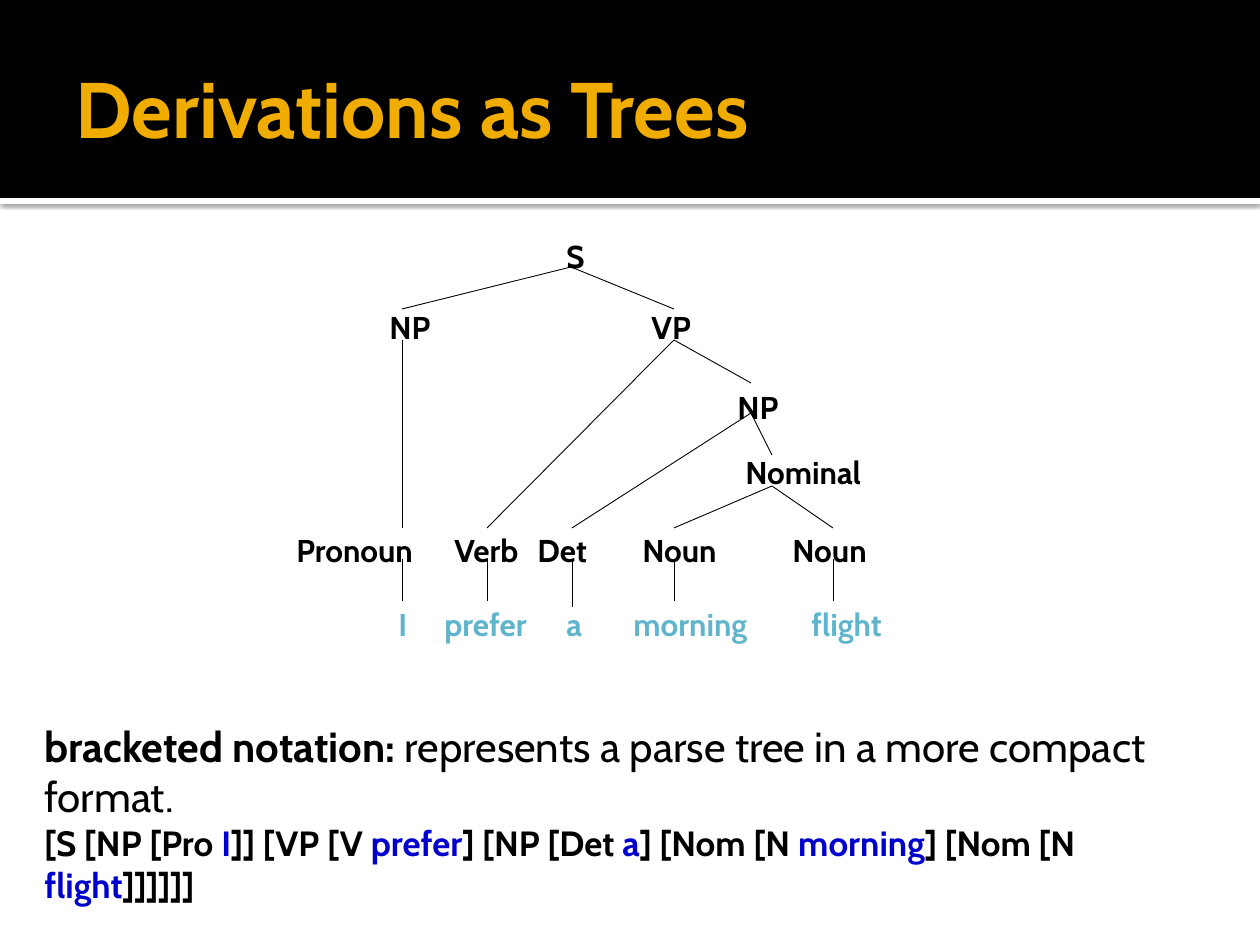
import dataclasses

import lxml.etree
import pptx
import pptx.dml.color
import pptx.enum.shapes
import pptx.enum.text
import pptx.oxml
import pptx.oxml.ns
import pptx.util

EMU_PER_PX = 914400 / 126


@dataclasses.dataclass(frozen=True)
class Theme:
    font: str = "Cabin"
    band: str = "000000"
    strip: str = "FFFFFF"
    title: str = "F0AD00"
    ink: str = "000000"
    word: str = "60B5CC"
    highlight: str = "0000CC"
    title_size: int = 45
    definition_size: int = 24
    bracket_size: int = 20
    label_size: int = 18
    branch_width: float = 0.5


@dataclasses.dataclass(frozen=True)
class Box:
    left: int
    top: int
    width: int
    height: int

    def inner(self, left, top, width, height):
        """Return a box given relative to this one."""
        return Box(self.left + left, self.top + top, width, height)

    def emu(self):
        """Return left, top, width and height in EMU."""
        return [px(side) for side in dataclasses.astuple(self)]


@dataclasses.dataclass(frozen=True)
class Level:
    top: int
    head: int
    foot: int


@dataclasses.dataclass(frozen=True)
class Node:
    label: str
    level: int
    stem: int
    left: int
    width: int
    children: tuple = ()
    drop: int = 0


THEME = Theme()
LABEL_HEIGHT = 42
WORD_LEVEL = 5
LEVELS = (
    Level(0, 0, 36),
    Level(71, 78, 109),
    Level(151, 152, 182),
    Level(216, 224, 255),
    Level(294, 297, 328),
    Level(368, 370, 370),
)
PRONOUN = Node("Pronoun", 4, 118, 0, 168, (Node("I", 5, 118, 102, 38),))
VERB = Node("Verb", 4, 203, 158, 95, (Node("prefer", 5, 203, 148, 122),))
DET = Node("Det", 4, 288, 241, 125, (Node("a", 5, 288, 270, 38, drop=6),))
FIRST_NOUN = Node("Noun", 4, 390, 346, 103, (Node("morning", 5, 390, 337, 160),))
SECOND_NOUN = Node("Noun", 4, 549, 496, 103, (Node("flight", 5, 549, 515, 113),))
NOMINAL = Node("Nominal", 3, 488, 449, 179, (FIRST_NOUN, SECOND_NOUN))
OBJECT = Node("NP", 2, 467, 441, 76, (DET, NOMINAL))
SUBJECT = Node("NP", 1, 118, 93, 76, (PRONOUN,))
PREDICATE = Node("VP", 1, 390, 355, 76, (VERB, OBJECT))
SENTENCE = Node("S", 0, 287, 270, 35, (SUBJECT, PREDICATE))

DEFINITION = ("bracketed notation: ", "represents a parse tree in a more compact format.")
BRACKETS = (
    "[S [NP [Pro ", "I", "]] [VP [V ", "prefer", "] [NP [Det ", "a",
    "] [Nom [N ", "morning", "] [Nom [N ", "flight", "]]]]]]",
)


def px(length):
    """Turn pixels into EMU."""
    return pptx.util.Emu(round(length * EMU_PER_PX))


def rgb(colour):
    """Turn a hex string into a colour."""
    return pptx.dml.color.RGBColor.from_string(colour)


def style(span, size, colour, bold=True):
    """Format one run."""
    span.font.name = THEME.font
    span.font.size = pptx.util.Pt(size)
    span.font.bold = bold
    span.font.color.rgb = rgb(colour)


def add_span(para, text, size, colour, bold=True):
    """Append a formatted run to a paragraph."""
    span = para.add_run()
    span.text = text
    style(span, size, colour, bold)


def add_effects(properties):
    """Append an empty effect list and return it."""
    return lxml.etree.SubElement(properties, pptx.oxml.ns.qn("a:effectLst"))


def add_text_box(shapes, box):
    """Add a wrapping text box and return its frame."""
    frame = shapes.add_textbox(*box.emu()).text_frame
    frame.word_wrap = True
    return frame


def add_bar(page, box, colour):
    """Add a plain rectangle."""
    bar = page.shapes.add_shape(pptx.enum.shapes.MSO_SHAPE.RECTANGLE, *box.emu())
    bar.fill.solid()
    bar.fill.fore_color.rgb = rgb(colour)
    bar.line.fill.background()
    return bar


def add_header(page, box):
    """Place the band, the shadowed strip and the title."""
    strip = add_bar(page, box.inner(0, box.height, box.width, 6), THEME.strip)
    shadow = (
        f'<a:outerShdw {pptx.oxml.ns.nsdecls("a")} blurRad="31750" dist="10160" dir="5400000" '
        'algn="t" rotWithShape="0"><a:srgbClr val="000000"><a:alpha val="60000"/>'
        "</a:srgbClr></a:outerShdw>"
    )
    add_effects(strip._element.spPr).append(pptx.oxml.parse_xml(shadow))
    band = add_bar(page, box, THEME.band)
    band.shadow.inherit = False

    title = page.shapes.title
    title.left, title.top, title.width, title.height = box.inner(63, 21, 1134, 173).emu()
    band._element.addnext(title._element)
    frame = title.text_frame
    frame.text = "Derivations as Trees"
    frame.auto_size = pptx.enum.text.MSO_AUTO_SIZE.NONE
    frame.vertical_anchor = pptx.enum.text.MSO_ANCHOR.MIDDLE
    frame.paragraphs[0].alignment = pptx.enum.text.PP_ALIGN.LEFT
    style(frame.paragraphs[0].runs[0], THEME.title_size, THEME.title)


def add_branches(shapes, box, node):
    """Draw the lines from a node down through its descendants."""
    for child in node.children:
        start = box.inner(node.stem, LEVELS[node.level].foot, 0, 0)
        end = box.inner(child.stem, LEVELS[child.level].head + child.drop, 0, 0)
        branch = shapes.add_connector(
            pptx.enum.shapes.MSO_CONNECTOR.STRAIGHT,
            px(start.left), px(start.top), px(end.left), px(end.top),
        )
        branch.line.color.rgb = rgb(THEME.ink)
        branch.line.width = pptx.util.Pt(THEME.branch_width)
        add_effects(branch._element.spPr)
        add_branches(shapes, box, child)


def add_labels(shapes, box, node):
    """Write the labels of a node and its descendants."""
    place = box.inner(node.left, LEVELS[node.level].top, node.width, LABEL_HEIGHT)
    para = add_text_box(shapes, place).paragraphs[0]
    para.text = node.label
    colour = THEME.word if node.level == WORD_LEVEL else THEME.ink
    style(para.runs[0], THEME.label_size, colour)
    for child in node.children:
        add_labels(shapes, box, child)


def add_tree(page, box):
    """Place the parse tree as one group."""
    tree = page.shapes.add_group_shape()
    add_branches(tree.shapes, box, SENTENCE)
    add_labels(tree.shapes, box, SENTENCE)


def add_notation(page, box):
    """Place the definition and the bracketed sentence."""
    frame = add_text_box(page.shapes, box)
    term, meaning = DEFINITION
    add_span(frame.paragraphs[0], term, THEME.definition_size, THEME.ink)
    add_span(frame.paragraphs[0], meaning, THEME.definition_size, THEME.ink, bold=False)
    para = frame.add_paragraph()
    for position, text in enumerate(BRACKETS):
        colour = THEME.highlight if position % 2 else THEME.ink
        add_span(para, text, THEME.bracket_size, colour)


def main():
    """Build and save the deck."""
    deck = pptx.Presentation()
    deck.slide_width, deck.slide_height = px(1260), px(945)
    page = deck.slides.add_slide(deck.slide_layouts.get_by_name("Title Only"))
    add_header(page, Box(0, 0, 1260, 198))
    add_tree(page, Box(284, 231, 628, 410))
    add_notation(page, Box(32, 714, 1197, 158))
    deck.save("out.pptx")


if __name__ == "__main__":
    main()
